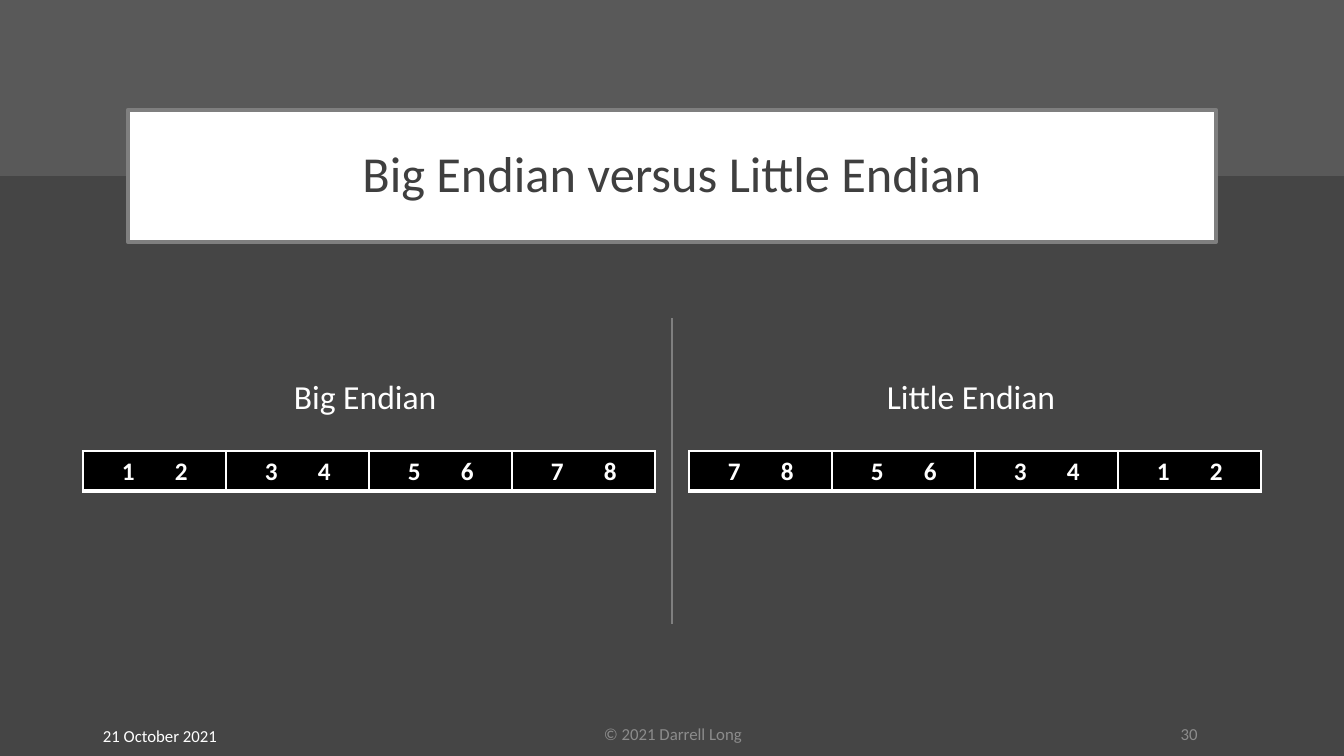
from lxml.etree import SubElement
from pptx import Presentation
from pptx.dml.color import RGBColor
from pptx.enum.shapes import MSO_CONNECTOR, MSO_SHAPE
from pptx.enum.text import MSO_ANCHOR, PP_ALIGN
from pptx.oxml import parse_xml
from pptx.oxml.ns import nsdecls, qn
from pptx.util import Pt

EMU_PER_PX = 914400 / 100.8
FONT = "Calibri"
WHITE, GREY, FOOTER_GREY = "FFFFFF", "7F7F7F", "8C8C8C"

TITLE = "Big Endian versus Little Endian"
# heading, heading left, heading width, table left, bytes in memory order
LAYOUTS = [
    ("Big Endian", 284, 168, 83, ["12", "34", "56", "78"]),
    ("Little Endian", 877, 197, 689, ["78", "56", "34", "12"]),
]
# text, shape, place, colour, alignment
FOOTERS = [
    ("21 October 2021", MSO_SHAPE.RECTANGLE, (93, 716, 302, 40), WHITE, PP_ALIGN.LEFT),
    ("© 2021 Darrell Long", MSO_SHAPE.RECTANGLE, (446, 714, 454, 40), FOOTER_GREY, PP_ALIGN.CENTER),
    ("30", MSO_SHAPE.OVAL, (950, 714, 302, 40), FOOTER_GREY, PP_ALIGN.RIGHT),
]
HEADING_TOP, HEADING_HEIGHT = 371, 50
TABLE_TOP, CELL_WIDTH, CELL_HEIGHT = 451, 143, 40
DIGIT_INDENT, DIGIT_PITCH = 39, 53
BORDERS = [("lnL", 1), ("lnR", 1), ("lnT", 1), ("lnB", 3)]


def px(length):
    return round(length * EMU_PER_PX)


def color(value):
    return RGBColor.from_string(value)


def write(frame, text, size, ink, align=PP_ALIGN.LEFT, bold=False):
    para = frame.paragraphs[0]
    para.alignment = align
    span = para.add_run()
    span.text = text
    span.font.name, span.font.size, span.font.bold = FONT, Pt(size), bold
    span.font.color.rgb = color(ink)
    return para


def add_box(page, place, fill=None, line=None, kind=MSO_SHAPE.RECTANGLE):
    box = page.shapes.add_shape(kind, *map(px, place))
    box.shadow.inherit = False
    if fill:
        box.fill.solid()
        box.fill.fore_color.rgb = color(fill)
    else:
        box.fill.background()
    if line:
        box.line.color.rgb = color(line)
        box.line.width = Pt(3)
    else:
        box.line.fill.background()
    box.text_frame.word_wrap = True
    box.text_frame.vertical_anchor = MSO_ANCHOR.MIDDLE
    return box


def fill_cell(cell, digits):
    """Write two digits set apart by a tab stop, on black with white borders."""
    cell.fill.solid()
    cell.fill.fore_color.rgb = color("000000")
    cell.margin_left, cell.margin_right = px(DIGIT_INDENT), 0
    properties = cell._tc.get_or_add_tcPr()
    for position, (side, points) in enumerate(BORDERS):
        properties.insert(position, parse_xml(
            f'<a:{side} {nsdecls("a")} w="{Pt(points)}"><a:solidFill>'
            f'<a:srgbClr val="{WHITE}"/></a:solidFill></a:{side}>'))
    tabs = SubElement(cell.text_frame.paragraphs[0]._p.get_or_add_pPr(), qn("a:tabLst"))
    SubElement(tabs, qn("a:tab"), pos=str(px(DIGIT_PITCH)), algn="l")
    write(cell.text_frame, "\t".join(digits), 18, WHITE, bold=True)


def add_layout(page, heading, heading_left, heading_width, table_left, pairs):
    place = (heading_left, HEADING_TOP, heading_width, HEADING_HEIGHT)
    box = page.shapes.add_textbox(*map(px, place))
    write(box.text_frame, heading, 24, WHITE)
    place = (table_left, TABLE_TOP, CELL_WIDTH * len(pairs), CELL_HEIGHT)
    table = page.shapes.add_table(1, len(pairs), *map(px, place)).table
    for column, digits in enumerate(pairs):
        table.columns[column].width = px(CELL_WIDTH)
        fill_cell(table.cell(0, column), digits)


def main():
    deck = Presentation()
    deck.slide_width, deck.slide_height = px(1344), px(756)
    page = deck.slides.add_slide(deck.slide_layouts[6])
    page.background.fill.solid()
    page.background.fill.fore_color.rgb = color("454545")

    add_box(page, (0, 0, 1344, 176), fill="595959")
    title = add_box(page, (128, 110, 1088, 132), fill=WHITE, line=GREY)
    write(title.text_frame, TITLE, 36, "3F3F3F", PP_ALIGN.CENTER).line_spacing = 0.9

    divider = page.shapes.add_connector(
        MSO_CONNECTOR.STRAIGHT, px(672), px(318), px(672), px(624))
    divider.line.color.rgb = color(GREY)
    divider.line.width = Pt(1.5)
    SubElement(divider._element.spPr, qn("a:effectLst"))

    for layout in LAYOUTS:
        add_layout(page, *layout)
    for text, kind, place, ink, align in FOOTERS:
        write(add_box(page, place, kind=kind).text_frame, text, 12, ink, align)

    deck.save("out.pptx")


if __name__ == "__main__":
    main()
